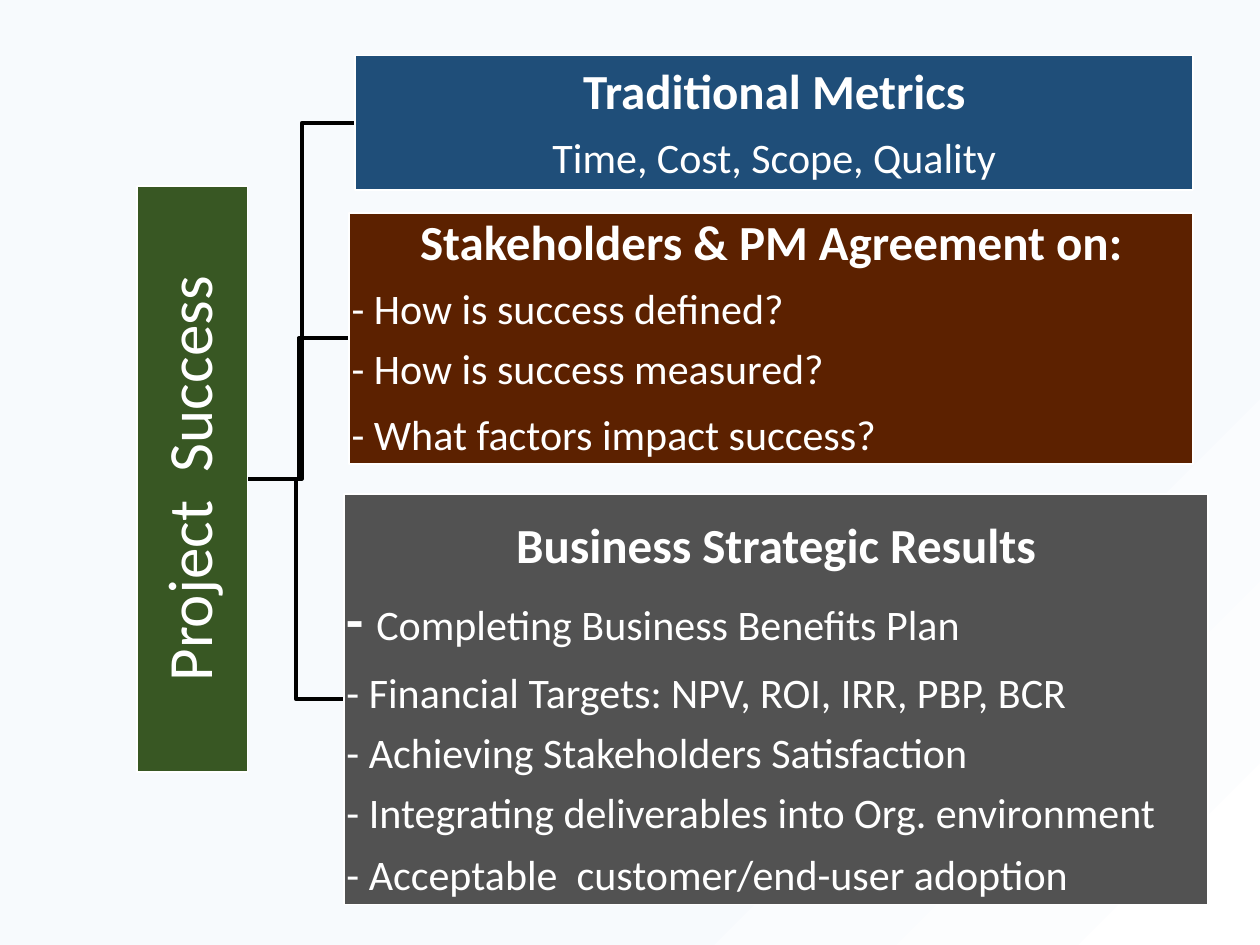
from pptx import Presentation
from pptx import util as u
from pptx.dml.color import RGBColor
from pptx.enum import shapes, text
from pptx.oxml.ns import qn
from lxml import etree

BLACK = RGBColor(0x00, 0x00, 0x00)
WHITE = RGBColor(0xFF, 0xFF, 0xFF)
PALE = RGBColor(0xF7, 0xFA, 0xFD)
GREEN = RGBColor(0x38, 0x57, 0x23)
BLUE = RGBColor(0x1F, 0x4E, 0x79)
BROWN = RGBColor(0x5C, 0x21, 0x00)
GREY = RGBColor(0x52, 0x52, 0x52)

FORK = (1.97, 3.8)  # middle of the green bar's right side

# box: left, top, width, height; pad: space above the heading;
# items: (runs of (text, size), centred, space after in points)
BLOCKS = [
    dict(box=(2.82, 0.44, 6.65, 1.07), fill=BLUE, pad=0.09,
         head="Traditional Metrics",
         items=[([("Time, Cost, Scope, Quality", 24)], True, 0)]),
    dict(box=(2.77, 1.69, 6.7, 1.99), fill=BROWN, pad=0.04,
         head="Stakeholders & PM Agreement on:",
         items=[([("- How is success defined?", 24)], False, 8.4),
                ([("- How is success measured?", 24)], False, 11.6),
                ([("- What factors impact success?", 24)], False, 0)]),
    dict(box=(2.73, 3.92, 6.86, 3.26), fill=GREY, pad=0.22,
         head="Business Strategic Results",
         items=[([("- ", 32), ("Completing Business Benefits Plan", 24)], False, 11.2),
                ([("- Financial Targets: NPV, ROI, IRR, PBP, BCR", 24)], False, 8.4),
                ([("- Achieving Stakeholders Satisfaction", 24)], False, 8.4),
                ([("- Integrating deliverables into Org. environment", 24)], False, 9.8),
                ([("- Acceptable  customer/end-user adoption", 24)], False, 0)]),
]


class Chart:
    """Style and current slide of the success tree."""
    font = "Calibri"

    def __init__(self, slide):
        self.slide = slide

    def ground(self):
        fill = self.slide.background.fill
        fill.gradient()
        fill.gradient_angle = 315
        for stop, (place, tint) in zip(fill.gradient_stops, [(0.67, PALE), (1, WHITE)]):
            stop.position = place
            stop.color.rgb = tint

    def branch(self, end):
        """Draw an elbow line from the fork to an end point."""
        line = self.slide.shapes.add_connector(
            shapes.MSO_CONNECTOR.ELBOW, *map(u.Inches, FORK + end))
        line.line.color.rgb = BLACK
        line.line.width = u.Pt(2.25)
        props = line._element.find(qn("p:spPr"))
        etree.SubElement(props, qn("a:effectLst"))

    def box(self, place, fill, inset, anchor):
        """Add a filled rectangle and return it."""
        rect = self.slide.shapes.add_shape(
            shapes.MSO_SHAPE.RECTANGLE, *map(u.Inches, place))
        rect.shadow.inherit = False
        rect.fill.solid()
        rect.fill.fore_color.rgb = fill
        rect.line.color.rgb = WHITE
        rect.line.width = u.Pt(1)
        frame = rect.text_frame
        frame.word_wrap = True
        frame.vertical_anchor = anchor
        frame.margin_left = frame.margin_right = u.Inches(0.02)
        frame.margin_top = u.Inches(inset)
        frame.margin_bottom = u.Inches(0.02)
        return rect

    def label(self, para, runs, centred=True, after=0, bold=False):
        """Fill a paragraph with runs of (text, size)."""
        para.alignment = text.PP_ALIGN.CENTER if centred else text.PP_ALIGN.LEFT
        para.line_spacing = 0.9
        para.space_after = u.Pt(after)
        for words, size in runs:
            run = para.add_run()
            run.text = words
            run.font.name = self.font
            run.font.size = u.Pt(size)
            run.font.color.rgb = WHITE
            # an oversized dash is set bold like the heading
            run.font.bold = bold or words == "- "

    def bar(self):
        rect = self.box((-0.8, 3.36, 4.65, 0.88), GREEN, 0.02, text.MSO_ANCHOR.MIDDLE)
        rect.rotation = 270
        self.label(rect.text_frame.paragraphs[0], [("Project  Success", 36)])

    def block(self, box, fill, pad, head, items):
        frame = self.box(box, fill, pad, text.MSO_ANCHOR.TOP).text_frame
        self.label(frame.paragraphs[0], [(head, 28)], after=9.8, bold=True)
        for runs, centred, after in items:
            self.label(frame.add_paragraph(), runs, centred, after)


def main():
    deck = Presentation()
    deck.slide_width, deck.slide_height = u.Inches(10), u.Inches(7.5)
    chart = Chart(deck.slides.add_slide(deck.slide_layouts[6]))
    chart.ground()
    for part in reversed(BLOCKS):
        left, top, _, height = part["box"]
        chart.branch((left, top + height / 2))
    chart.bar()
    for part in BLOCKS:
        chart.block(**part)
    deck.save("out.pptx")


if __name__ == "__main__":
    main()
